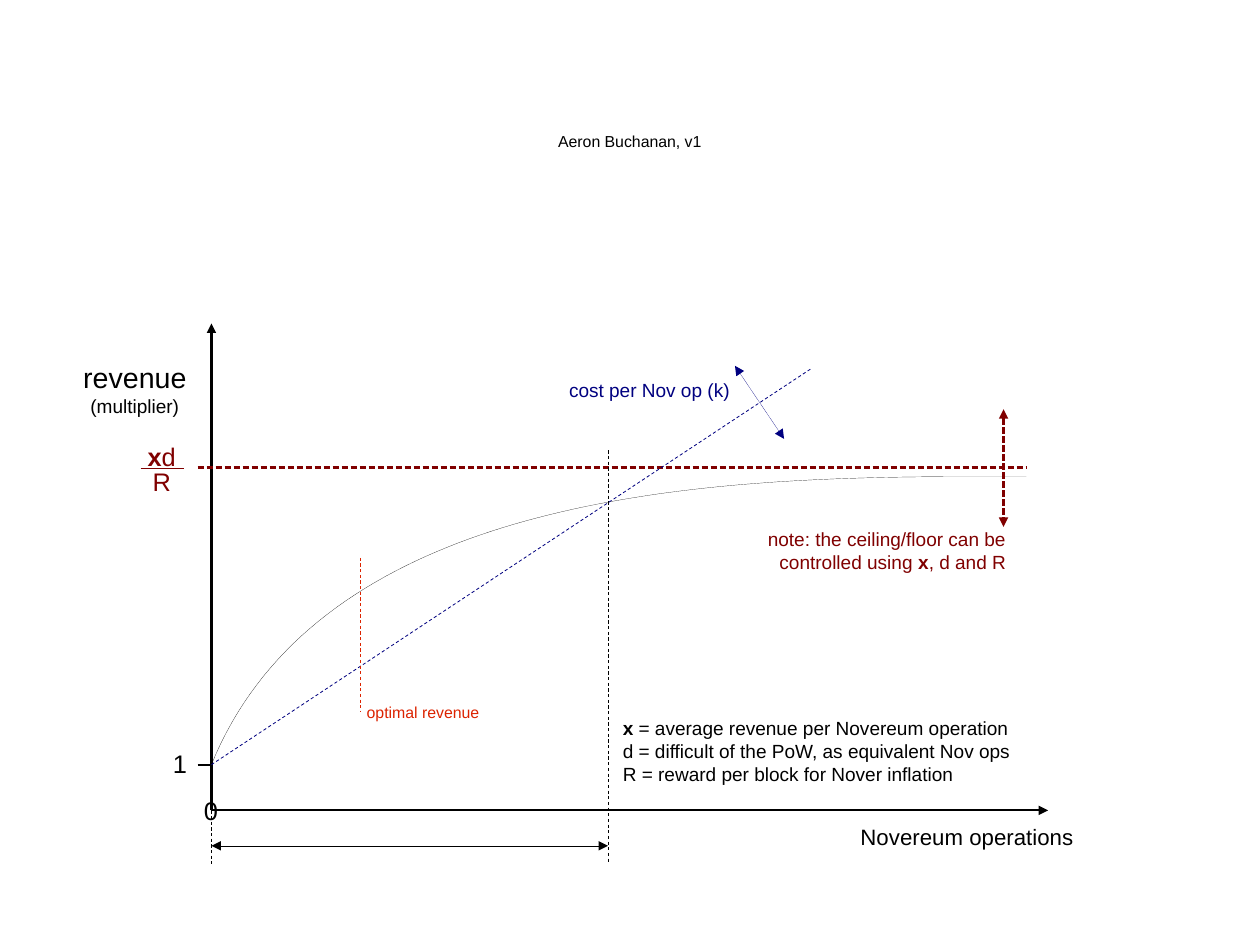
from pptx import Presentation
from pptx import util as u
from pptx.dml import color
from pptx.enum import dml, text
from pptx.oxml import xmlchemy

BLACK, MAROON, NAVY, RED = "000000", "800000", "000080", "DC2300"
AXIS_X, AXIS_Y, ONE_Y = 1.85, 7.09, 6.69
CEILING_Y, BREAK_EVEN_X = 4.09, 5.32
THICK, THIN, HAIR = 1.42, 0.5, 0.1
LEFT, CENTER, RIGHT = text.PP_ALIGN.LEFT, text.PP_ALIGN.CENTER, text.PP_ALIGN.RIGHT
DASHED, DOTTED = dml.MSO_LINE.DASH, dml.MSO_LINE.SQUARE_DOT


def rgb(value):
    """Turn a hex string into a colour."""
    return color.RGBColor.from_string(value)


def add_line(slide, start, end, hue=BLACK, width=THICK, dash=None, arrows=()):
    """Draw a straight line with optional dashes and arrowheads."""
    line = slide.shapes.add_connector(1, *map(u.Inches, (*start, *end)))
    line.line.color.rgb = rgb(hue)
    line.line.width = u.Pt(width)
    if dash:
        line.line.dash_style = dash
    for end_name in arrows:
        arrow = xmlchemy.OxmlElement(f"a:{end_name}")
        arrow.set("type", "triangle")
        line.line._get_or_add_ln().append(arrow)
    line._element.spPr.append(xmlchemy.OxmlElement("a:effectLst"))


def add_label(slide, box, *paragraphs, size=12, hue=BLACK, align=LEFT):
    """Write paragraphs of (words, format) runs in a text box."""
    frame = slide.shapes.add_textbox(*map(u.Inches, box)).text_frame
    frame.word_wrap = True
    for index, runs in enumerate(paragraphs):
        paragraph = frame.add_paragraph() if index else frame.paragraphs[0]
        paragraph.alignment = align
        for words, style in runs:
            run = paragraph.add_run()
            run.text = words
            run.font.name = "Arial"
            run.font.size = u.Pt(style.get("size", size))
            run.font.bold = style.get("bold", False)
            run.font.color.rgb = rgb(hue)


def add_curve(slide, controls, steps=80):
    """Draw a cubic curve through evenly stepped points."""
    points = []
    for step in range(steps + 1):
        t = step / steps
        weights = ((1 - t) ** 3, 3 * t * (1 - t) ** 2, 3 * t * t * (1 - t), t ** 3)
        points.append(tuple(u.Inches(sum(w * c[axis] for w, c in zip(weights, controls)))
                            for axis in (0, 1)))
    builder = slide.shapes.build_freeform(*points[0])
    builder.add_line_segments(points[1:], close=False)
    curve = builder.convert_to_shape()
    curve.shadow.inherit = False
    curve.fill.background()
    curve.line.color.rgb = rgb(BLACK)
    curve.line.width = u.Pt(HAIR)


def add_graph(slide):
    """Draw the axes, the revenue curve and the guide lines."""
    both = ("headEnd", "tailEnd")
    origin, one = (AXIS_X, AXIS_Y), (AXIS_X, ONE_Y)
    add_line(slide, (AXIS_X, 7.4), (BREAK_EVEN_X, 7.4), width=HAIR, arrows=both)
    add_line(slide, origin, (AXIS_X, 2.83), arrows=("tailEnd",))
    add_line(slide, origin, (9.17, AXIS_Y), arrows=("tailEnd",))
    add_line(slide, (1.73, ONE_Y), one)
    add_line(slide, (1.73, CEILING_Y), (8.98, CEILING_Y), MAROON, dash=DOTTED)
    add_curve(slide, (one, (2.91, 4.09), (6.85, 4.17), (8.98, 4.17)))
    add_line(slide, one, (7.09, 3.23), NAVY, THIN, DASHED)
    add_line(slide, (8.78, 3.58), (8.78, 4.61), MAROON, dash=DOTTED, arrows=both)
    add_line(slide, (6.43, 3.2), (6.86, 3.84), NAVY, HAIR, arrows=both)
    add_line(slide, (BREAK_EVEN_X, 3.94), (BREAK_EVEN_X, 7.56), width=THIN, dash=DASHED)
    add_line(slide, (3.15, 4.88), (3.15, 6.22), RED, THIN, DASHED)
    add_line(slide, origin, (AXIS_X, 7.56), width=THIN, dash=DASHED)


def add_labels(slide):
    """Write the axis labels, the fraction, the notes and the legend."""
    bold = {"bold": True}
    add_label(slide, (1.1, 3.81, 0.63, 0.35), [("x", bold), ("d", {})],
              size=16, hue=MAROON, align=CENTER)
    add_label(slide, (1.1, 4.03, 0.63, 0.35), [("R", {})], size=16, hue=MAROON, align=CENTER)
    add_line(slide, (1.23, 4.1), (1.61, 4.1), MAROON, 0.57)
    add_label(slide, (1.38, 6.5, 0.39, 0.35), [("1", {})], size=16, align=CENTER)
    add_label(slide, (1.65, 6.91, 0.39, 0.35), [("0", {})], size=16, align=CENTER)
    add_label(slide, (0.55, 3.1, 1.26, 0.57),
              [("revenue ", {"size": 18}), ("(multiplier)", {})], align=CENTER)
    add_label(slide, (6.22, 4.57, 2.68, 0.5),
              [("note: the ceiling/floor can be controlled using ", {}),
               ("x", bold), (", d and R", {})], hue=MAROON, align=RIGHT)
    add_label(slide, (5.35, 6.22, 4.02, 0.66),
              [("x", bold), (" = average revenue per Novereum operation", {})],
              [("d = difficult of the PoW, as equivalent Nov ops", {})],
              [("R = reward per block for Nover inflation", {})])
    add_label(slide, (4.88, 3.26, 2.28, 0.29), [("cost per Nov op (k)", {})], hue=NAVY)
    add_label(slide, (7.24, 7.15, 2.44, 0.32), [("Novereum operations", {})],
              size=14, align=CENTER)
    add_label(slide, (3.11, 6.1, 1.25, 0.41), [("optimal revenue", {})], size=10, hue=RED)
    add_label(slide, (4.13, 1.1, 2.76, 0.25), [("Aeron Buchanan, v1", {})],
              size=10, align=CENTER)


def main():
    """Build the slide and save it."""
    deck = Presentation()
    deck.slide_width, deck.slide_height = u.Inches(28 / 2.54), u.Inches(21 / 2.54)
    slide = deck.slides.add_slide(deck.slide_layouts[6])
    add_graph(slide)
    add_labels(slide)
    deck.save("out.pptx")


if __name__ == "__main__":
    main()
